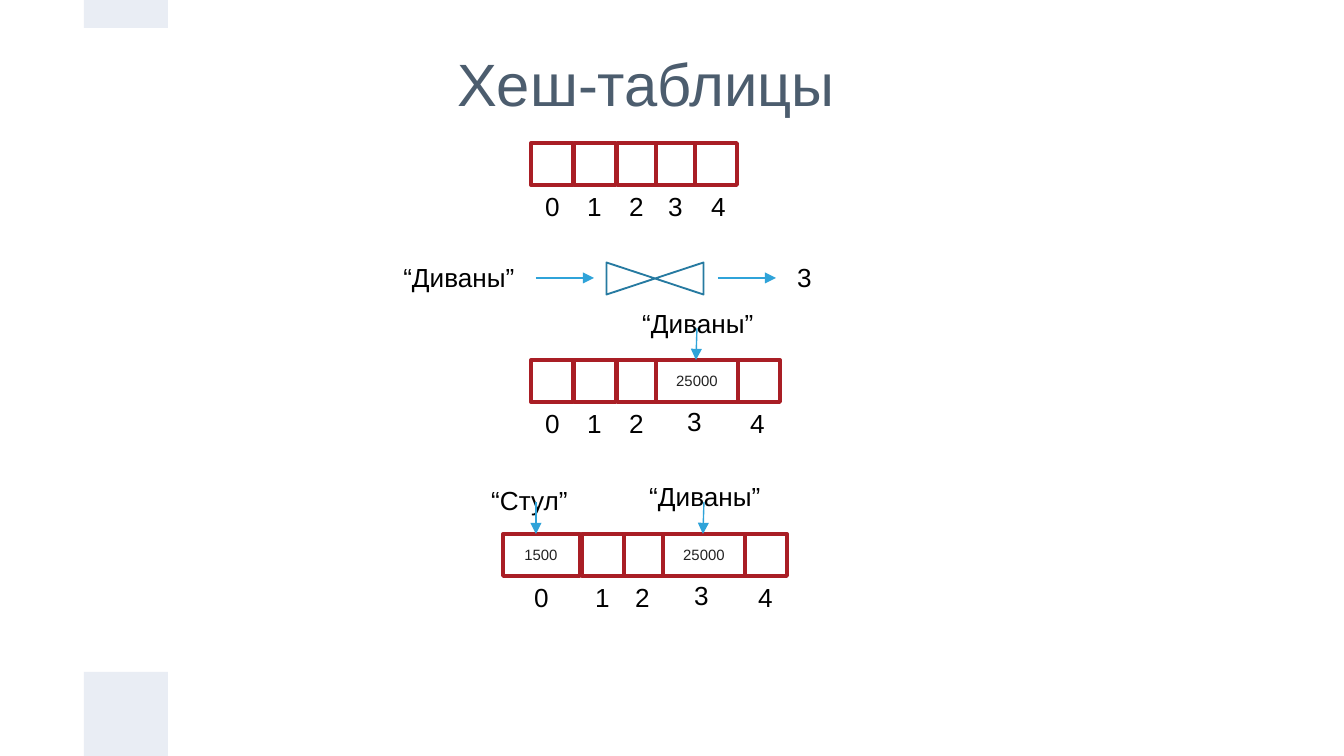
import collections
import dataclasses

import lxml.etree
import pptx
import pptx.dml.color
import pptx.enum.shapes
import pptx.enum.text
import pptx.oxml.ns
import pptx.util

SCALE = 9144000 / 1344
SHAPES = pptx.enum.shapes.MSO_SHAPE
ANCHOR = pptx.enum.text.MSO_ANCHOR
ALIGN = pptx.enum.text.PP_ALIGN

Box = collections.namedtuple("Box", "left top width height")
Cell = collections.namedtuple("Cell", "left width label_left value label_lift", defaults=("", 0))
Key = collections.namedtuple("Key", "text left lift arrow_start arrow_end")


@dataclasses.dataclass(frozen=True)
class Theme:
    """Colours, type sizes and line widths of the slide."""
    font: str = "Arial"
    title: str = "4C5D6E"
    text: str = "000000"
    value: str = "222222"
    band: str = "E9EDF4"
    cell: str = "A91E25"
    function: str = "267AA1"
    arrow: str = "2FA3D9"
    title_size: int = 32
    text_size: int = 14
    value_size: int = 8
    cell_line: float = 2
    function_line: float = 1
    arrow_line: float = 0.75


THEME = Theme()


def px(length):
    """Turn px into EMU."""
    return pptx.util.Emu(round(length * SCALE))


def colour(value):
    """Turn a hex string into a colour."""
    return pptx.dml.color.RGBColor.from_string(value)


def write(frame, text, size, text_colour, alignment=ALIGN.LEFT):
    """Write one run into the first paragraph of a text frame."""
    paragraph = frame.paragraphs[0]
    paragraph.alignment = alignment
    run = paragraph.add_run()
    run.text = text
    run.font.name = THEME.font
    run.font.size = pptx.util.Pt(size)
    run.font.color.rgb = colour(text_colour)


def add_shape(slide, kind, box, fill=None, line=None, line_width=0):
    """Add a preset shape with an optional fill and outline."""
    shape = slide.shapes.add_shape(kind, *map(px, box))
    shape.shadow.inherit = False
    if fill:
        shape.fill.solid()
        shape.fill.fore_color.rgb = colour(fill)
    else:
        shape.fill.background()
    if line:
        shape.line.color.rgb = colour(line)
        shape.line.width = pptx.util.Pt(line_width)
    else:
        shape.line.fill.background()
    return shape


def add_label(slide, text, box, size=THEME.text_size, wrap=True, **style):
    """Add a text box that grows with its text."""
    frame = slide.shapes.add_textbox(*map(px, box)).text_frame
    frame.word_wrap = wrap
    frame.auto_size = pptx.enum.text.MSO_AUTO_SIZE.SHAPE_TO_FIT_TEXT
    write(frame, text, size, **{"text_colour": THEME.text, **style})


def add_arrow(slide, start, end):
    """Add a thin arrow with a triangular head at its end."""
    connector = slide.shapes.add_connector(
        pptx.enum.shapes.MSO_CONNECTOR.STRAIGHT, *map(px, start + end))
    connector.line.color.rgb = colour(THEME.arrow)
    connector.line.width = pptx.util.Pt(THEME.arrow_line)
    qualified = pptx.oxml.ns.qn
    outline = connector.line._get_or_add_ln()
    lxml.etree.SubElement(outline, qualified("a:tailEnd"), type="triangle")
    lxml.etree.SubElement(outline.getparent(), qualified("a:effectLst"))


def draw_bands(slide, box):
    """Draw the two pale bands at the top and bottom of a column."""
    bottom_height, top_height = 84, 28
    bottom_top = box.top + box.height - bottom_height
    for top, height in ((bottom_top, bottom_height), (box.top, top_height)):
        add_shape(slide, SHAPES.RECTANGLE, Box(box.left, top, box.width, height), THEME.band)


def draw_title(slide, box, text):
    """Draw the slide title, centred vertically in its box."""
    frame = slide.shapes.add_textbox(*map(px, box)).text_frame
    frame.word_wrap = True
    frame.vertical_anchor = ANCHOR.MIDDLE
    frame.margin_top = frame.margin_bottom = pptx.util.Inches(0.1)
    write(frame, text, THEME.title_size, THEME.title)


def draw_hash_function(slide, box, key, index):
    """Draw a key passing through the hash function to its index."""
    middle = box.top + box.height // 2
    add_label(slide, key, Box(box.left, box.top, 146, box.height))
    function = add_shape(slide, SHAPES.FLOWCHART_COLLATE,
                         Box(box.left + 249, middle - 48, 32, 97),
                         line=THEME.function, line_width=THEME.function_line)
    function.rotation = 90
    for offset in (146, 328):
        add_arrow(slide, (box.left + offset, middle), (box.left + offset + 58, middle))
    add_label(slide, index, Box(box.left + 394, box.top, 48, box.height))


def draw_array(slide, box, cells, keys=()):
    """Draw array cells with indices below and keys pointing in from above."""
    for cell in cells:
        shape = add_shape(slide, SHAPES.RECTANGLE,
                          Box(box.left + cell.left, box.top, cell.width, box.height),
                          line=THEME.cell, line_width=THEME.cell_line)
        if cell.value:
            shape.text_frame.vertical_anchor = ANCHOR.MIDDLE
            write(shape.text_frame, cell.value, THEME.value_size, THEME.value, ALIGN.CENTER)
    for index, cell in enumerate(cells):
        label_top = box.top + box.height - 1 - cell.label_lift
        add_label(slide, str(index), Box(box.left + cell.label_left, label_top, 43, 46))
    for key in keys:
        add_label(slide, key.text, Box(box.left + key.left, box.top - key.lift, 146, 46))
        add_arrow(slide, (box.left + key.arrow_start, box.top - 32),
                  (box.left + key.arrow_end, box.top))


def build_slide(presentation):
    """Place every region of the hash table slide."""
    slide = presentation.slides.add_slide(presentation.slide_layouts[6])
    draw_bands(slide, Box(84, 0, 84, 756))
    draw_title(slide, Box(444, 15, 579, 136), "Хеш-таблицы")
    first_cells = [Cell(0, 42, 1), Cell(43, 42, 43), Cell(86, 39, 85)]
    draw_array(slide, Box(531, 143, 207, 42),
               first_cells + [Cell(125, 39, 124), Cell(164, 42, 167)])
    draw_hash_function(slide, Box(390, 255, 442, 46), "“Диваны”", "3")
    draw_array(slide, Box(531, 360, 249, 42),
               first_cells + [Cell(125, 82, 143, "25000", 2), Cell(207, 42, 206)],
               [Key("“Диваны”", 98, 59, 166, 165)])
    draw_array(slide, Box(503, 534, 284, 42),
               [Cell(0, 77, 18), Cell(79, 42, 79), Cell(121, 39, 119),
                Cell(160, 82, 178, "25000", 2), Cell(242, 42, 242)],
               [Key("“Диваны”", 133, 60, 201, 200), Key("“Стул”", -25, 56, 33, 33)])
    add_label(slide, "1500", Box(511, 539, 60, 32), THEME.value_size, False,
              text_colour=THEME.value, alignment=ALIGN.CENTER)


def main():
    """Build and save the presentation."""
    presentation = pptx.Presentation()
    presentation.slide_width = px(1344)
    presentation.slide_height = px(756)
    build_slide(presentation)
    presentation.save("out.pptx")


if __name__ == "__main__":
    main()
